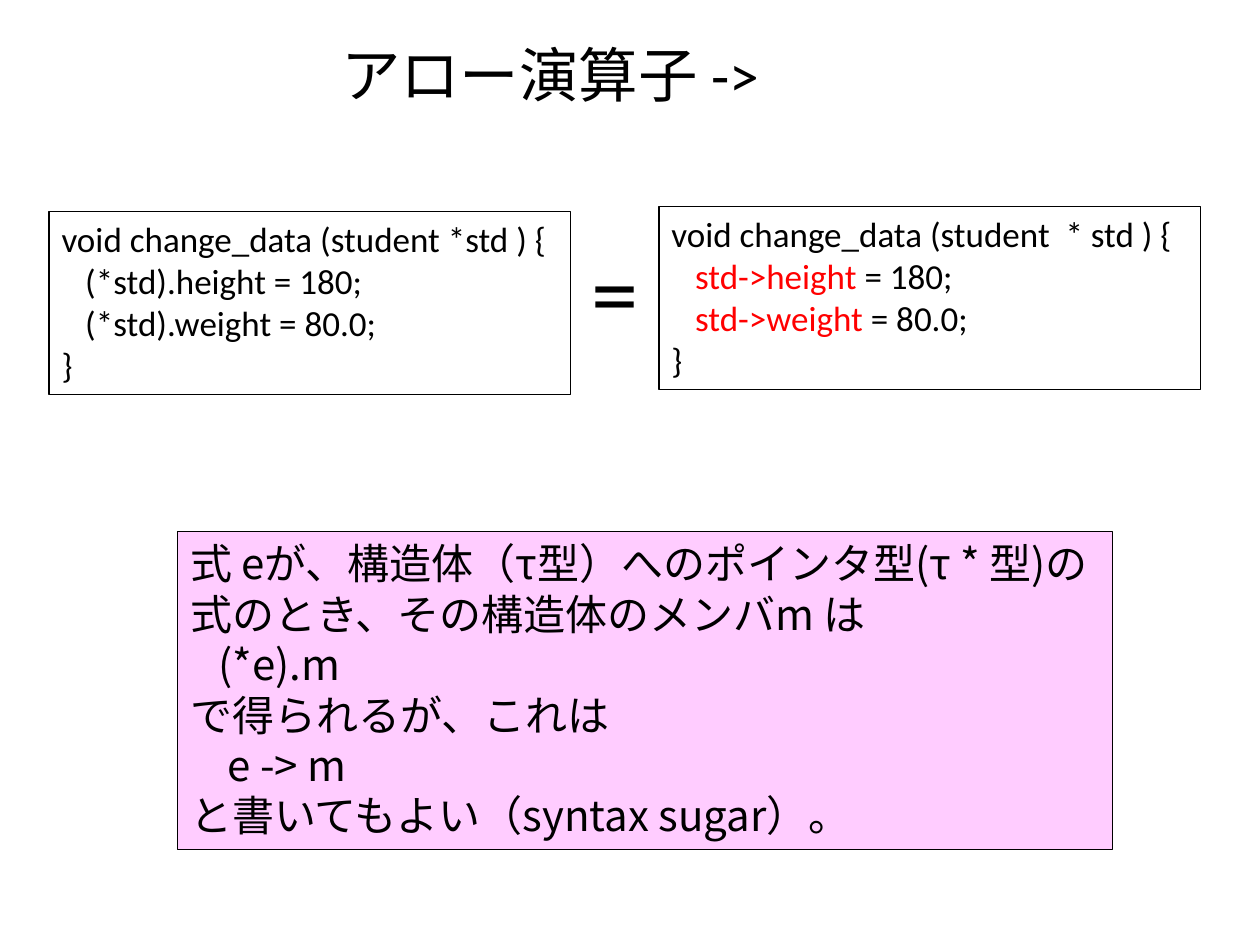
from dataclasses import dataclass

from lxml import etree
from pptx import Presentation
from pptx import util as u
from pptx.dml.color import RGBColor
from pptx.enum import shapes, text
from pptx.oxml import ns

LATIN, JAPANESE = "Calibri", "Noto Sans CJK JP"
BLACK, RED, PINK = "000000", "FF0000", "FFCCFF"


@dataclass
class Panel:
    left: float
    top: float
    width: float
    height: float
    lines: list[str]
    size: int
    font: str = LATIN
    fill: str | None = None
    marked: tuple[str, ...] = ()


def rgb(value: str) -> RGBColor:
    return RGBColor.from_string(value)


def format_run(r, size: int, font: str, color: str = BLACK) -> None:
    r.font.size = u.Pt(size)
    r.font.name = font
    r.font.color.rgb = rgb(color)
    ea = etree.Element(ns.qn("a:ea"), typeface=JAPANESE)
    r.font._element.find(ns.qn("a:latin")).addnext(ea)


def write_line(p, line: str, panel: Panel) -> None:
    mark = next((m for m in panel.marked if m in line), "")
    parts = line.partition(mark) if mark else (line,)
    for part in parts:
        r = p.add_run()
        r.text = part
        format_run(r, panel.size, panel.font, RED if part == mark else BLACK)


def add_panel(slide, panel: Panel) -> None:
    box = map(u.Inches, (panel.left, panel.top, panel.width, panel.height))
    sp = slide.shapes.add_shape(shapes.MSO_SHAPE.RECTANGLE, *box)
    sp.shadow.inherit = False
    if panel.fill:
        sp.fill.solid()
        sp.fill.fore_color.rgb = rgb(panel.fill)
    else:
        sp.fill.background()
    sp.line.color.rgb = rgb(BLACK)
    sp.line.width = u.Pt(0.75)
    tf = sp.text_frame
    tf.word_wrap = True
    tf.auto_size = text.MSO_AUTO_SIZE.SHAPE_TO_FIT_TEXT
    tf.vertical_anchor = text.MSO_ANCHOR.TOP
    for i, line in enumerate(panel.lines):
        p = tf.add_paragraph() if i else tf.paragraphs[0]
        p.alignment = text.PP_ALIGN.LEFT
        write_line(p, line, panel)


def add_label(slide, left: float, top: float, width: float, height: float,
              label: str, size: int, wrap: bool, align, anchor) -> None:
    sp = slide.shapes.add_textbox(*map(u.Inches, (left, top, width, height)))
    tf = sp.text_frame
    tf.text = label
    tf.word_wrap = wrap
    tf.vertical_anchor = anchor
    p = tf.paragraphs[0]
    p.alignment = align
    format_run(p.runs[0], size, LATIN)


PANELS = [
    Panel(0.39, 1.68, 4.14, 1.45, [
        "void change_data (student *std ) {",
        "   (*std).height = 180;",
        "   (*std).weight = 80.0;",
        "}",
    ], 20),
    Panel(5.23, 1.64, 4.3, 1.45, [
        "void change_data (student  * std ) {",
        "   std->height = 180;",
        "   std->weight = 80.0;",
        "}",
    ], 20, marked=("std->height", "std->weight")),
    Panel(1.41, 4.22, 7.42, 2.52, [
        "式 eが、構造体（τ型）へのポインタ型(τ * 型)の式のとき、その構造体のメンバm は",
        "   (*e).m",
        "で得られるが、これは",
        "    e -> m",
        "と書いてもよい（syntax sugar）。",
    ], 24, JAPANESE, PINK),
]


def main() -> None:
    prs = Presentation()
    prs.slide_width, prs.slide_height = u.Inches(10), u.Inches(7.5)
    slide = prs.slides.add_slide(prs.slide_layouts[6])
    add_label(slide, 0.2, 0.21, 8.33, 0.75, "アロー演算子 ->", 34, True,
              text.PP_ALIGN.CENTER, text.MSO_ANCHOR.MIDDLE)
    for panel in PANELS:
        add_panel(slide, panel)
    add_label(slide, 4.6, 1.8, 0.64, 1, "=", 54, False,
              text.PP_ALIGN.LEFT, text.MSO_ANCHOR.TOP)
    prs.save("out.pptx")


if __name__ == "__main__":
    main()
